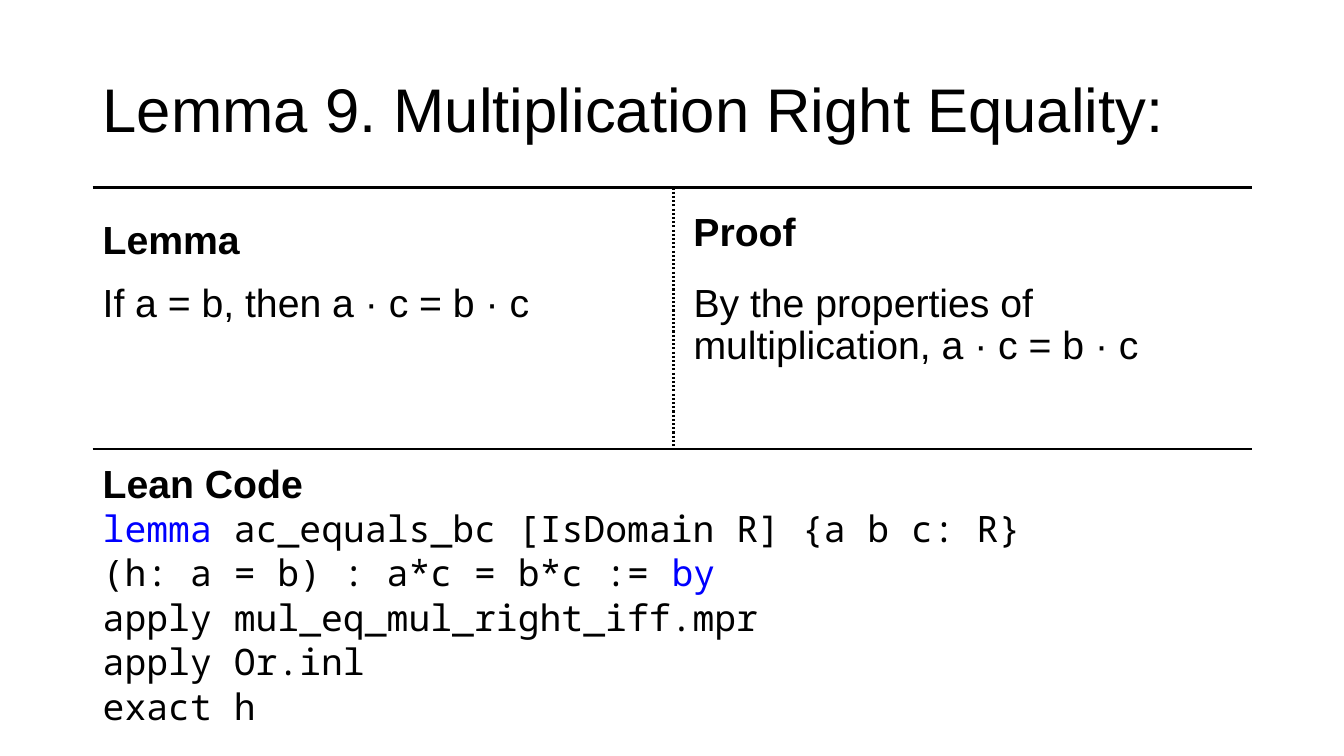
"""Build the slide on the lemma of right multiplication, with its proof and code."""
from dataclasses import dataclass

from lxml import etree
from pptx import Presentation
from pptx import util as u
from pptx.dml.color import RGBColor
from pptx.enum import dml, shapes, text
from pptx.oxml import ns

BLACK = RGBColor(0, 0, 0)
BLUE = RGBColor(0, 0, 255)
SANS, MONO = "Arial", "Noto Sans Mono"
WIDE, HIGH = 13.33, 7.5
LEFT, MID, RIGHT = 0.92, 6.78, 12.42
HEAD, BODY, CODE = 2.05, 2.76, 5.07
TOP, BASE, SPLIT = 1.86, 4.45, 6.68
WORDS = ("lemma", "by")


@dataclass
class Block:
    x: float
    y: float
    w: float
    h: float
    lines: list[list[str]]
    size: int = 28
    face: str = SANS
    bold: bool = False
    low: bool = False
    mid: bool = False
    lead: float = 0.9
    gap: int = 10


@dataclass
class Rule:
    x: float
    y: float
    to_x: float
    to_y: float
    dots: bool = False


BLOCKS = [
    Block(LEFT, 0.39, RIGHT - LEFT, 1.45,
          [["Lemma 9. Multiplication Right Equality:"]], size=44, mid=True, gap=0),
    Block(LEFT, HEAD, 5.63, 0.6, [["Lemma"]], bold=True, low=True, lead=0.8),
    Block(LEFT, BODY, 5.63, 1.17, [["If a = b, then a · c = b · c"]]),
    Block(MID, HEAD, RIGHT - MID, 0.53, [["Proof"]], bold=True, low=True),
    Block(MID, BODY, 5.71, 1.17,
          [["By the properties of multiplication, a · c = b · c"]]),
    Block(LEFT, 4.55, 2.25, 0.52, [["Lean Code"]], bold=True, low=True, lead=0.8),
    Block(LEFT, CODE, WIDE - LEFT, HIGH - CODE, [
        ["lemma", " ac_equals_bc [IsDomain R] {a b c: R}"],
        ["(h: a = b) : a*c = b*c := ", "by"],
        ["apply mul_eq_mul_right_iff.mpr"],
        ["apply Or.inl"],
        ["exact h"],
    ], size=26, face=MONO, lead=0.76, gap=8),
]
RULES = [
    Rule(LEFT, TOP, RIGHT, TOP),
    Rule(LEFT, BASE, RIGHT, BASE),
    Rule(SPLIT, TOP, SPLIT, BASE, dots=True),
]


def style(item: object, looks: dict) -> None:
    for key, value in looks.items():
        setattr(item, key, value)


def write(slide, block: Block) -> None:
    spot = [u.Inches(n) for n in (block.x, block.y, block.w, block.h)]
    frame = slide.shapes.add_textbox(*spot).text_frame
    anchor = text.MSO_ANCHOR
    place = anchor.MIDDLE if block.mid else anchor.BOTTOM if block.low else anchor.TOP
    style(frame, {"word_wrap": True, "vertical_anchor": place})
    for i, parts in enumerate(block.lines):
        para = frame.add_paragraph() if i else frame.paragraphs[0]
        style(para, {"line_spacing": block.lead, "space_before": u.Pt(block.gap)})
        for part in parts:
            run = para.add_run()
            run.text = part
            style(run.font, {"size": u.Pt(block.size), "name": block.face,
                             "bold": block.bold})
            run.font.color.rgb = BLUE if part in WORDS else BLACK


def draw(slide, rule: Rule) -> None:
    ends = [u.Inches(n) for n in (rule.x, rule.y, rule.to_x, rule.to_y)]
    wire = slide.shapes.add_connector(shapes.MSO_CONNECTOR.STRAIGHT, *ends)
    wire.line.color.rgb = BLACK
    wire.line.width = u.Pt(1.5)
    if rule.dots:
        wire.line.dash_style = dml.MSO_LINE.ROUND_DOT
    etree.SubElement(wire._element.spPr, ns.qn("a:effectLst"))


def main() -> None:
    deck = Presentation()
    style(deck, {"slide_width": u.Inches(WIDE), "slide_height": u.Inches(HIGH)})
    slide = deck.slides.add_slide(deck.slide_layouts[6])
    for block in BLOCKS:
        write(slide, block)
    for rule in RULES:
        draw(slide, rule)
    deck.save("out.pptx")


if __name__ == "__main__":
    main()
